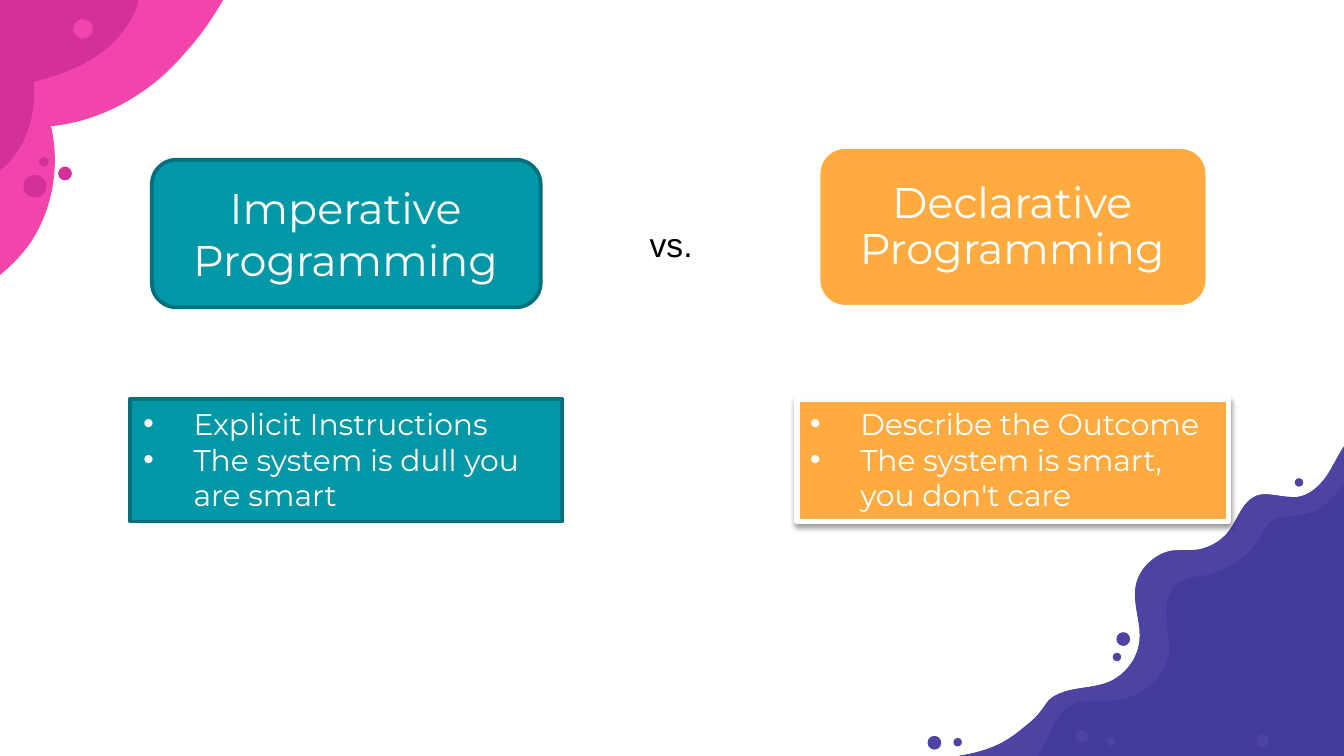
from dataclasses import dataclass

from lxml.etree import SubElement
from pptx import Presentation
from pptx.dml.color import RGBColor
from pptx.enum.shapes import MSO_SHAPE
from pptx.enum.text import MSO_ANCHOR, PP_ALIGN
from pptx.oxml.ns import qn
from pptx.util import Cm, Pt


@dataclass(frozen=True)
class Theme:
    pink: str = "F145AB"
    magenta: str = "D5309A"
    indigo: str = "423A9C"
    violet: str = "4D43A3"
    teal: str = "0097A7"
    teal_edge: str = "00707C"
    orange: str = "FFAB40"
    white: str = "FFFFFF"
    black: str = "000000"
    font: str = "Montserrat"
    plain_font: str = "Arial"
    title_size: int = 23
    list_size: int = 16
    versus_size: int = 18


THEME = Theme()

# Outlines in hundredths of an inch: pairs are lines, sixes are Bezier curves
PINK_BLOB = [
    (-12, 0), (-12, 213), (0, 206, 12, 195, 21, 183), (39, 158, 45, 124, 38, 94),
    (77, 90, 113, 69, 138, 39), (149, 27, 158, 14, 166, 0),
]
MAGENTA_BLOB = [
    (0, 0), (0, 127), (18, 113, 28, 86, 25, 61), (48, 55, 70, 47, 87, 29),
    (94, 21, 101, 11, 103, 0),
]
SHORE = [
    (1008, 323), (1006, 325, 1005, 326, 1003, 328), (997, 336, 993, 345, 988, 353),
    (982, 362, 974, 369, 965, 370), (964, 370, 963, 370, 962, 370),
    (955, 370, 948, 368, 942, 368), (939, 368, 937, 368, 935, 369),
    (925, 373, 922, 384, 916, 393), (911, 401, 902, 407, 892, 409),
    (885, 410, 878, 409, 871, 410), (858, 413, 847, 424, 845, 437),
    (843, 450, 849, 463, 848, 476), (847, 490, 837, 503, 824, 508),
    (811, 513, 795, 511, 783, 519), (781, 520, 780, 522, 779, 523),
    (775, 529, 771, 534, 766, 538), (760, 543, 754, 548, 747, 552),
    (738, 557, 728, 560, 717, 562), (695, 566),
]
INNER_SHORE = [
    (770, 566), (774, 561, 777, 555, 779, 550), (784, 540, 788, 528, 799, 524),
    (803, 522, 808, 522, 812, 522), (816, 522, 820, 522, 825, 522),
    (847, 521, 868, 505, 870, 484), (870, 475, 868, 467, 868, 458),
    (867, 450, 869, 441, 875, 435), (881, 430, 890, 429, 898, 428),
    (915, 424, 930, 413, 939, 398), (941, 395, 942, 392, 944, 390),
    (952, 382, 964, 385, 974, 382), (990, 377, 998, 361, 1010, 350),
    (1023, 337, 1040, 330, 1058, 326), (1058, 323),
]

# Dots: colour, centre x, centre y, diameter in cm
DOTS = [
    (THEME.magenta, 1.23, 3.28, 0.26), (THEME.pink, 1.57, 0.55, 0.37),
    (THEME.magenta, 0.66, 3.52, 0.43), (THEME.magenta, 0.83, 3.06, 0.18),
    (THEME.violet, 20.45, 13.92, 0.24), (THEME.violet, 23.86, 14, 0.24),
    (THEME.violet, 21, 14.02, 0.16), (THEME.violet, 21.11, 12.42, 0.16),
    (THEME.violet, 18.1, 14.03, 0.16), (THEME.violet, 24.55, 9.12, 0.16),
    (THEME.violet, 21.23, 12.08, 0.26), (THEME.violet, 17.66, 14.04, 0.26),
]


def paint(shape, fill, edge=None, width=2):
    shape.shadow.inherit = False
    shape.fill.solid()
    shape.fill.fore_color.rgb = RGBColor.from_string(fill)
    if edge:
        shape.line.color.rgb = RGBColor.from_string(edge)
        shape.line.width = Pt(width)
    else:
        shape.line.fill.background()


def add_blob(page, outline, colour):
    """Draw an outline, then bend its curved segments."""
    lengths = [[Cm(value * 0.0254) for value in segment] for segment in outline]
    start, *ends = [tuple(segment[-2:]) for segment in lengths]
    builder = page.shapes.build_freeform(*start)
    builder.add_line_segments(ends, close=True)
    blob = builder.convert_to_shape()
    lines = list(blob._element.iter(qn("a:lnTo")))
    for line, segment in zip(lines, lengths[1:]):
        if len(segment) == 6:
            curve = line.makeelement(qn("a:cubicBezTo"))
            for x, y in zip(segment[::2], segment[1::2]):
                SubElement(curve, qn("a:pt"), x=str(x - blob.left), y=str(y - blob.top))
            line.getparent().replace(line, curve)
    paint(blob, colour)


def add_panel(page, kind, left, top, width, height, fill, edge=None, line_width=2):
    panel = page.shapes.add_shape(kind, Cm(left), Cm(top), Cm(width), Cm(height))
    paint(panel, fill, edge, line_width)
    return panel


def add_dot(page, colour, x, y, size):
    add_panel(page, MSO_SHAPE.OVAL, x - size / 2, y - size / 2, size, size, colour)


def add_span(para, text, size, colour=THEME.white, font=THEME.font):
    span = para.add_run()
    span.text = text
    span.font.size = Pt(size)
    span.font.name = font
    span.font.color.rgb = RGBColor.from_string(colour)


def write_title(box, text, spacing):
    frame = box.text_frame
    frame.word_wrap = True
    frame.vertical_anchor = MSO_ANCHOR.MIDDLE
    frame.margin_left = frame.margin_right = Cm(0.25)
    frame.margin_top = frame.margin_bottom = Cm(0.25)
    para = frame.paragraphs[0]
    para.alignment = PP_ALIGN.CENTER
    para.line_spacing = spacing
    add_span(para, text, THEME.title_size)


def add_bullet(para):
    props = para._p.get_or_add_pPr()
    props.set("marL", str(Cm(0.95)))
    props.set("indent", str(-Cm(0.95)))
    colour = SubElement(props, qn("a:buClr"))
    SubElement(colour, qn("a:srgbClr"), val=THEME.white)
    SubElement(props, qn("a:buFont"), typeface=THEME.plain_font)
    SubElement(props, qn("a:buChar"), char="•")


def add_list(page, items, left, fill, edge, line_width):
    panel = add_panel(page, MSO_SHAPE.RECTANGLE, left, 7.54, 8.16, 2.32,
                      fill, edge, line_width)
    frame = panel.text_frame
    frame.word_wrap = True
    frame.vertical_anchor = MSO_ANCHOR.TOP
    for index, item in enumerate(items):
        para = frame.add_paragraph() if index else frame.paragraphs[0]
        para.alignment = PP_ALIGN.LEFT
        add_bullet(para)
        add_span(para, item, THEME.list_size)
    return panel


def add_shadow(shape):
    effects = shape._element.spPr.find(qn("a:effectLst"))
    shadow = SubElement(effects, qn("a:outerShdw"), blurRad=str(Pt(3.1)),
                        dist=str(Pt(1.6)), dir="5400000", rotWithShape="0")
    colour = SubElement(shadow, qn("a:srgbClr"), val=THEME.black)
    SubElement(colour, qn("a:alpha"), val="38000")


def add_versus(page):
    box = page.shapes.add_textbox(Cm(12.03), Cm(4.11), Cm(1.32), Cm(1.02))
    box.text_frame.word_wrap = False
    add_span(box.text_frame.paragraphs[0], "vs.", THEME.versus_size,
             THEME.black, THEME.plain_font)


def main():
    deck = Presentation()
    deck.slide_width, deck.slide_height = Cm(25.4), Cm(14.29)
    page = deck.slides.add_slide(deck.slide_layouts[6])

    # Corner decoration
    add_blob(page, PINK_BLOB, THEME.pink)
    add_blob(page, MAGENTA_BLOB, THEME.magenta)
    add_blob(page, SHORE + [(1058, 566), (1058, 323)], THEME.indigo)
    add_blob(page, SHORE + INNER_SHORE, THEME.violet)
    for dot in DOTS:
        add_dot(page, *dot)

    # Headings
    rounded = MSO_SHAPE.ROUNDED_RECTANGLE
    add_panel(page, rounded, 2.87, 3.02, 7.35, 2.79, THEME.teal, THEME.teal_edge)
    imperative = add_panel(page, MSO_SHAPE.RECTANGLE, 3.08, 3.16, 6.91, 2.51, THEME.teal)
    write_title(imperative, "Imperative Programming", 1.0)
    add_panel(page, rounded, 15.47, 2.78, 7.35, 3.02, THEME.orange, THEME.white)
    declarative = page.shapes.add_textbox(Cm(15.68), Cm(2.93), Cm(6.91), Cm(2.74))
    write_title(declarative, "Declarative Programming", 0.9)

    # Bullet lists
    add_list(page, ["Explicit Instructions", "The system is dull you are smart"],
             2.46, THEME.teal, THEME.teal_edge, 2)
    outcome = add_list(page, ["Describe the Outcome", "The system is smart, you don't care"],
                       15.06, THEME.orange, THEME.white, 3)
    add_shadow(outcome)
    add_versus(page)

    deck.save("out.pptx")


if __name__ == "__main__":
    main()
